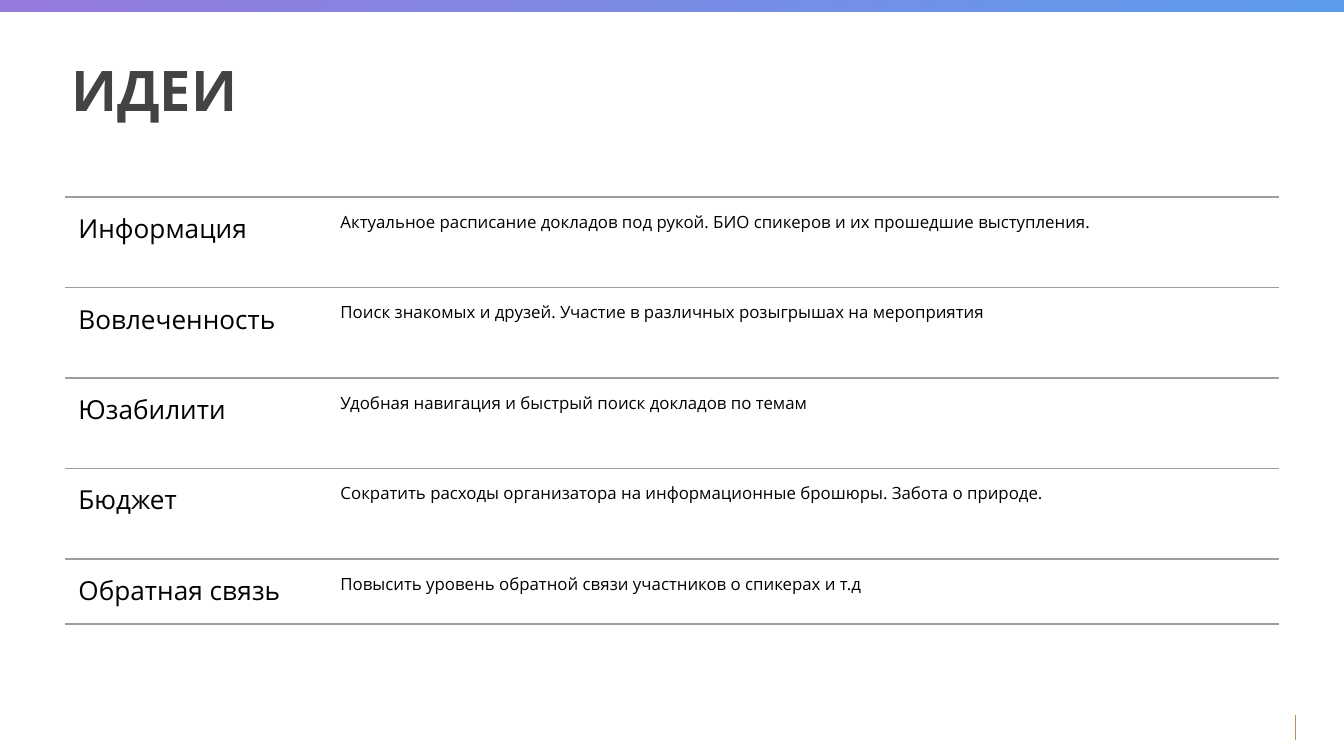
"""Build a slide that lists ideas in a ruled table."""
from lxml import etree
from pptx import Presentation
from pptx.dml.color import RGBColor
from pptx.enum import shapes, text
from pptx.oxml import ns
from pptx.util import Pt

HUES = {"title": "434343", "body": "000000", "rule": "9E9E9E",
        "mark": "B49358", "start": "967ADC", "end": "5D9CEC"}
IDEAS = [
    ("Информация", "Актуальное расписание докладов под рукой. БИО спикеров и их прошедшие выступления."),
    ("Вовлеченность", "Поиск знакомых и друзей. Участие в различных розыгрышах на мероприятия"),
    ("Юзабилити", "Удобная навигация и быстрый поиск докладов по темам"),
    ("Бюджет", "Сократить расходы организатора на информационные брошюры. Забота о природе."),
    ("Обратная связь", "Повысить уровень обратной связи участников о спикерах и т.д"),
]
PAD = Pt(7.2)


def write(para, words, size, hue, bold=False):
    run = para.add_run()
    run.text = words
    run.font.name = "Open Sans"
    run.font.size = Pt(size)
    run.font.bold = bold
    run.font.color.rgb = RGBColor.from_string(HUES[hue])


def rule(cell):
    props = cell._tc.get_or_add_tcPr()
    for spot, side in enumerate(("lnL", "lnR", "lnT", "lnB")):
        line = etree.Element(ns.qn("a:" + side), w=str(Pt(0.75)))
        if side in ("lnT", "lnB"):
            fill = etree.SubElement(line, ns.qn("a:solidFill"))
            etree.SubElement(fill, ns.qn("a:srgbClr"), val=HUES["rule"])
        else:
            etree.SubElement(line, ns.qn("a:noFill"))
        props.insert(spot, line)


deck = Presentation()
deck.slide_width, deck.slide_height = Pt(720), Pt(405)
slide = deck.slides.add_slide(deck.slide_layouts[6])

mark = slide.shapes.add_connector(
    shapes.MSO_CONNECTOR.STRAIGHT, Pt(694), Pt(383), Pt(694), Pt(396.7))
mark.line.color.rgb = RGBColor.from_string(HUES["mark"])
mark.line.width = Pt(0.75)
etree.SubElement(mark._element.spPr, ns.qn("a:effectLst"))

title = slide.shapes.add_textbox(Pt(31), Pt(32.4), Pt(658.8), Pt(25.2))
frame = title.text_frame
frame.word_wrap = True
frame.vertical_anchor = text.MSO_ANCHOR.MIDDLE
frame.margin_left = frame.margin_right = PAD
frame.margin_top = frame.margin_bottom = PAD
frame.paragraphs[0].line_spacing = 1.15
write(frame.paragraphs[0], "ИДЕИ", 30, "title", True)

bar = slide.shapes.add_shape(
    shapes.MSO_SHAPE.RECTANGLE, Pt(0), Pt(-0.5), Pt(720), Pt(6.8))
bar.shadow.inherit = False
bar.line.fill.background()
bar.fill.gradient()
bar.fill.gradient_angle = 315
for stop, hue in zip(bar.fill.gradient_stops, ("start", "end")):
    stop.color.rgb = RGBColor.from_string(HUES[hue])

highs = [48.5] * 4 + [34.8]
grid = slide.shapes.add_table(
    len(IDEAS), 2, Pt(34.8), Pt(105.6), Pt(650.2), Pt(sum(highs))).table
grid.first_row = grid.horz_banding = False
for col, wide in zip(grid.columns, (140.4, 509.8)):
    col.width = Pt(wide)
for row, high, idea in zip(grid.rows, highs, IDEAS):
    row.height = Pt(high)
    for cell, words, size in zip(row.cells, idea, (14, 9)):
        cell.margin_left = cell.margin_right = PAD
        cell.margin_top = cell.margin_bottom = PAD
        cell.fill.background()
        rule(cell)
        write(cell.text_frame.paragraphs[0], words, size, "body")

deck.save("out.pptx")
